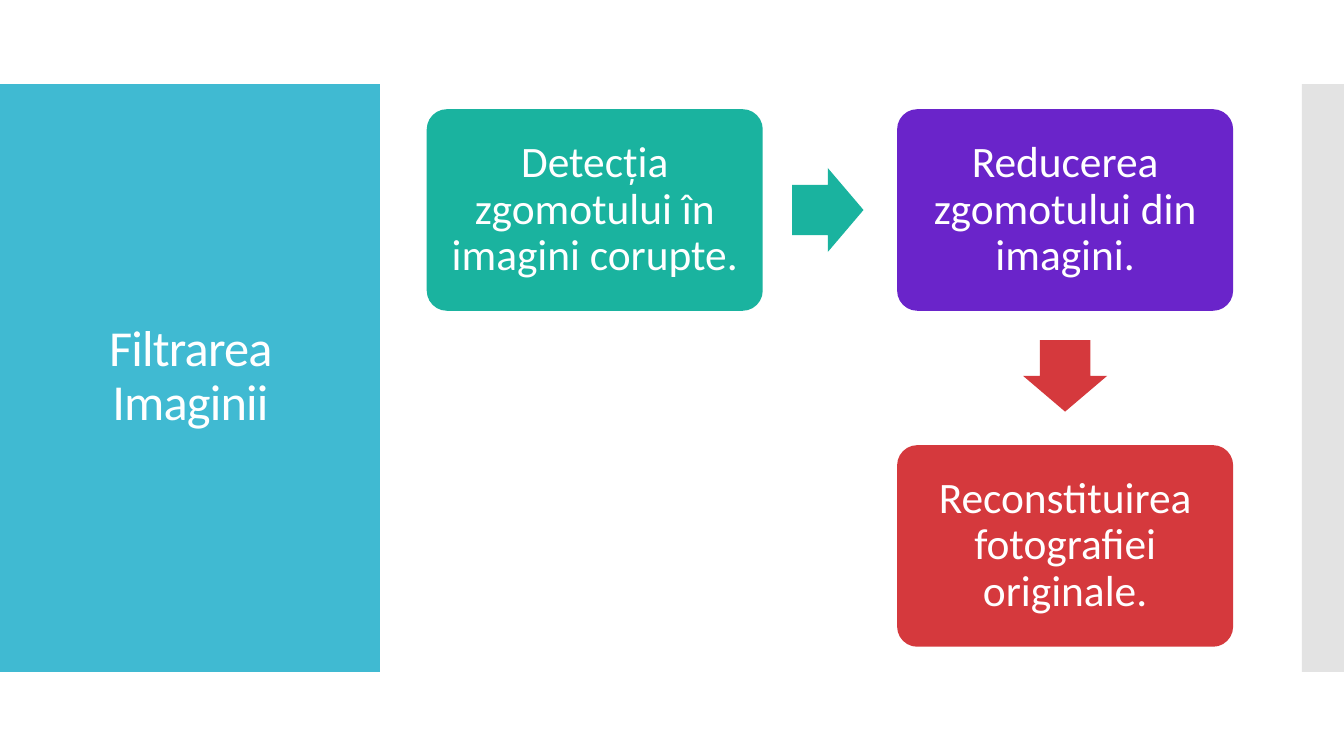
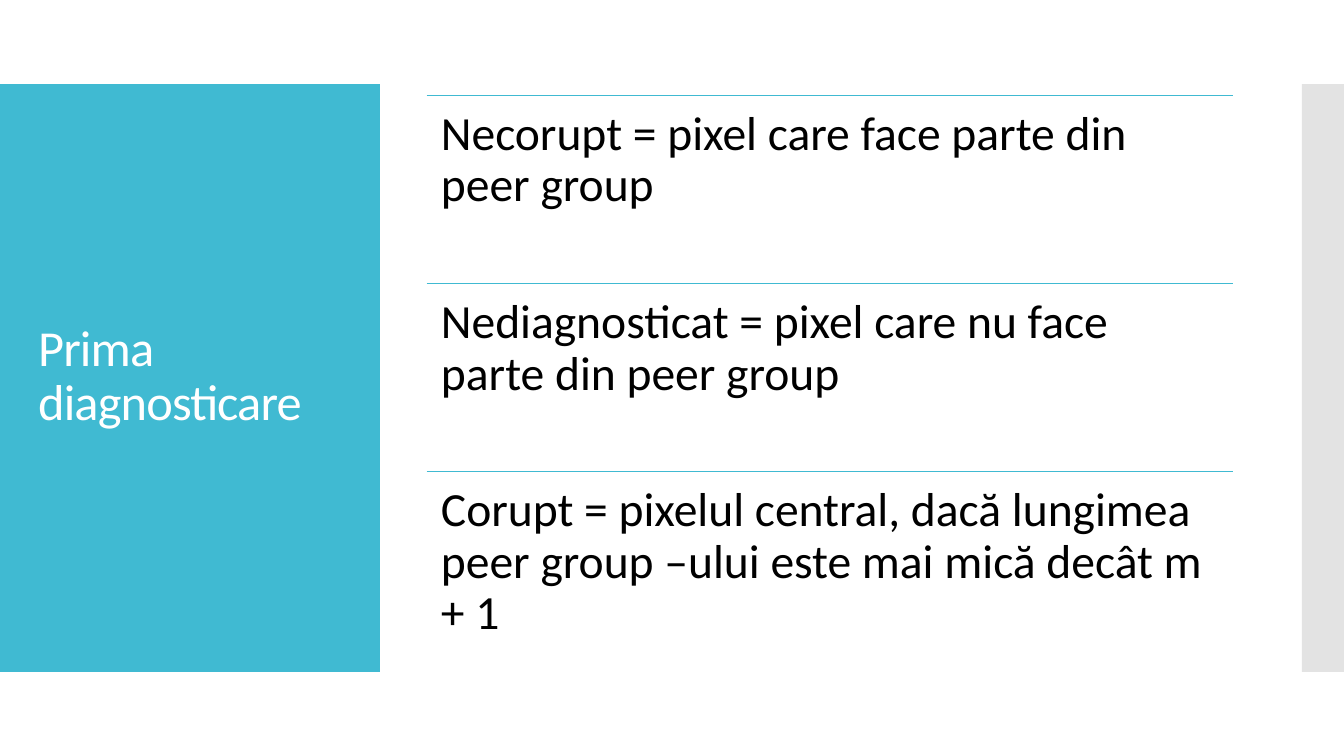
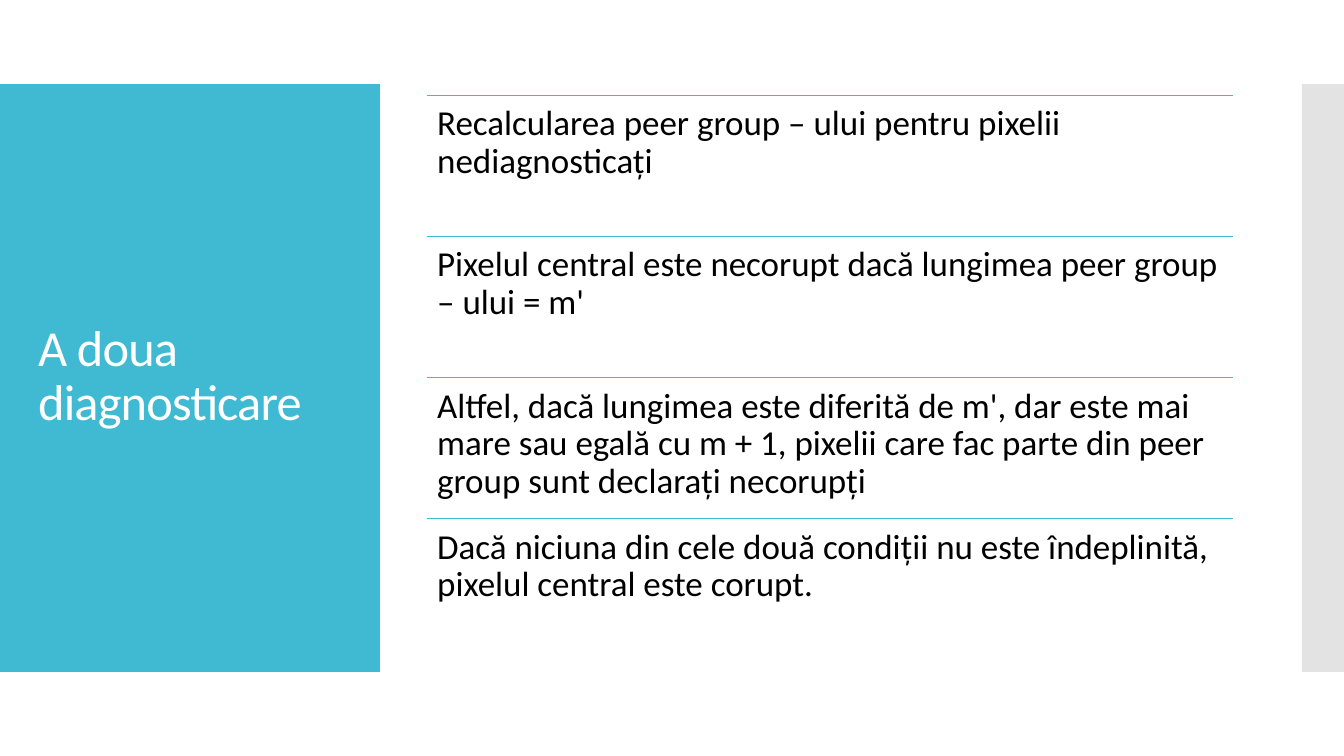
from dataclasses import dataclass

from lxml.etree import SubElement
from pptx import Presentation
from pptx.dml.color import RGBColor
from pptx.enum.shapes import MSO_CONNECTOR, MSO_SHAPE
from pptx.enum.text import MSO_ANCHOR, MSO_AUTO_SIZE, PP_ALIGN
from pptx.oxml.ns import qn
from pptx.presentation import Presentation as Deck
from pptx.shapes.autoshape import Shape
from pptx.slide import Slide
from pptx.text.text import TextFrame
from pptx.util import Pt


@dataclass(frozen=True)
class Theme:
    font: str = "Calibri"
    accent: str = "40BAD2"
    side: str = "C8C8C8"
    light: str = "FFFFFF"
    dark: str = "000000"
    teal: str = "1AB39F"
    purple: str = "6A24CA"
    red: str = "D5393D"
    title_size: float = 36
    step_size: float = 31
    rule_width: float = 0.85
    line_spacing: float = 0.9


@dataclass(frozen=True)
class Box:
    left: float
    top: float
    width: float
    height: float

    def lengths(self) -> tuple[Pt, Pt, Pt, Pt]:
        return Pt(self.left), Pt(self.top), Pt(self.width), Pt(self.height)


@dataclass(frozen=True)
class Step:
    text: str
    column: int
    row: int
    color: str


@dataclass(frozen=True)
class Arrow:
    kind: MSO_SHAPE
    box: Box
    color: str


@dataclass(frozen=True)
class Definitions:
    title: str
    size: float
    rows: tuple[str, ...]


THEME = Theme()

# Shared frame
TITLE_BAND = Box(0, 60, 271.4, 420)
SIDE_BAND = Box(930, 60, 30, 420)
TITLE_BOX = Box(20, 88.5, 232, 362)
BODY = Box(304.8, 68, 576, 403)

# Process grid
STEP_WIDTH, STEP_HEIGHT, STEP_GAP, STEP_TOP = 240, 144, 96, 78
STEP_INSET = 13.5
ARROW_LENGTH, ARROW_BREADTH, ARROW_OFFSET = 51, 60, 21

STEPS = (
    Step("Detecția zgomotului în imagini corupte.", 0, 0, THEME.teal),
    Step("Reducerea zgomotului din imagini.", 1, 0, THEME.purple),
    Step("Reconstituirea fotografiei originale.", 1, 1, THEME.red),
)

DEFINITION_SLIDES = (
    Definitions("Prima diagnosticare", 34, (
        "Necorupt = pixel care face parte din peer group",
        "Nediagnosticat = pixel care nu face parte din peer group",
        "Corupt = pixelul central, dacă lungimea peer group –ului este mai mică decât m + 1",
    )),
    Definitions("A doua diagnosticare", 25, (
        "Recalcularea peer group – ului pentru pixelii nediagnosticați",
        "Pixelul central este necorupt dacă lungimea peer group – ului = m'",
        "Altfel, dacă lungimea este diferită de m', dar este mai mare sau egală cu m + 1, "
        "pixelii care fac parte din peer group sunt declarați necorupți",
        "Dacă niciuna din cele două condiții nu este îndeplinită, pixelul central este corupt.",
    )),
)


def write_text(frame: TextFrame, text: str, size: float, color: str,
               align: PP_ALIGN, anchor: MSO_ANCHOR) -> None:
    frame.text = text
    frame.word_wrap = True
    frame.auto_size = MSO_AUTO_SIZE.NONE
    frame.vertical_anchor = anchor
    paragraph = frame.paragraphs[0]
    paragraph.alignment = align
    paragraph.line_spacing = THEME.line_spacing
    paragraph.font.name = THEME.font
    paragraph.font.size = Pt(size)
    paragraph.font.color.rgb = RGBColor.from_string(color)


def set_insets(frame: TextFrame, inset: float) -> None:
    frame.margin_left = frame.margin_right = Pt(inset)
    frame.margin_top = frame.margin_bottom = Pt(inset)


def add_filled(slide: Slide, kind: MSO_SHAPE, box: Box, color: str) -> Shape:
    shape = slide.shapes.add_shape(kind, *box.lengths())
    shape.shadow.inherit = False
    shape.fill.solid()
    shape.fill.fore_color.rgb = RGBColor.from_string(color)
    shape.line.fill.background()
    return shape


def add_titled_slide(presentation: Deck, text: str, align: PP_ALIGN) -> Slide:
    slide = presentation.slides.add_slide(presentation.slide_layouts[5])
    add_filled(slide, MSO_SHAPE.RECTANGLE, TITLE_BAND, THEME.accent)
    side = add_filled(slide, MSO_SHAPE.RECTANGLE, SIDE_BAND, THEME.side)
    side_color = side.fill._xPr.find(qn("a:solidFill")).find(qn("a:srgbClr"))
    SubElement(side_color, qn("a:alpha")).set("val", "50000")

    title = slide.shapes.title
    title.left, title.top, title.width, title.height = TITLE_BOX.lengths()
    write_text(title.text_frame, text, THEME.title_size, THEME.light, align, MSO_ANCHOR.MIDDLE)
    title.text_frame.paragraphs[0].runs[0]._r.get_or_add_rPr().set("spc", "-60")
    slide.shapes._spTree.append(title._element)  # bring in front of the bands
    return slide


def step_box(step: Step) -> Box:
    return Box(BODY.left + step.column * (STEP_WIDTH + STEP_GAP),
               STEP_TOP + step.row * (STEP_HEIGHT + STEP_GAP),
               STEP_WIDTH, STEP_HEIGHT)


def arrow_between(start: Step, end: Step) -> Arrow:
    box = step_box(start)
    if start.row == end.row:
        return Arrow(MSO_SHAPE.RIGHT_ARROW,
                     Box(box.left + box.width + ARROW_OFFSET,
                         box.top + (box.height - ARROW_BREADTH) / 2,
                         ARROW_LENGTH, ARROW_BREADTH), start.color)
    return Arrow(MSO_SHAPE.DOWN_ARROW,
                 Box(box.left + (box.width - ARROW_BREADTH) / 2,
                     box.top + box.height + ARROW_OFFSET,
                     ARROW_BREADTH, ARROW_LENGTH), end.color)


def add_process_slide(presentation: Deck) -> None:
    slide = add_titled_slide(presentation, "Filtrarea Imaginii", PP_ALIGN.CENTER)
    for step in STEPS:
        shape = add_filled(slide, MSO_SHAPE.ROUNDED_RECTANGLE, step_box(step), step.color)
        shape.adjustments[0] = 0.1
        set_insets(shape.text_frame, STEP_INSET)
        write_text(shape.text_frame, step.text, THEME.step_size, THEME.light,
                   PP_ALIGN.CENTER, MSO_ANCHOR.MIDDLE)
    for start, end in zip(STEPS, STEPS[1:]):
        arrow = arrow_between(start, end)
        shape = add_filled(slide, arrow.kind, arrow.box, arrow.color)
        shape.adjustments[0] = 0.6
        shape.adjustments[1] = 0.5


def add_rule(slide: Slide, top: float) -> None:
    rule = slide.shapes.add_connector(MSO_CONNECTOR.STRAIGHT, Pt(BODY.left), Pt(top),
                                      Pt(BODY.left + BODY.width), Pt(top))
    rule.line.color.rgb = RGBColor.from_string(THEME.accent)
    rule.line.width = Pt(THEME.rule_width)
    SubElement(rule._element.spPr, qn("a:effectLst"))


def add_definition_slide(presentation: Deck, content: Definitions) -> None:
    slide = add_titled_slide(presentation, content.title, PP_ALIGN.LEFT)
    row_height = BODY.height / len(content.rows)
    for index, text in enumerate(content.rows):
        row = Box(BODY.left, BODY.top + index * row_height, BODY.width, row_height)
        add_rule(slide, row.top)
        frame = slide.shapes.add_textbox(*row.lengths()).text_frame
        set_insets(frame, 0.3 * content.size)
        write_text(frame, text, content.size, THEME.dark, PP_ALIGN.LEFT, MSO_ANCHOR.TOP)


def main() -> None:
    presentation = Presentation()
    presentation.slide_width, presentation.slide_height = Pt(960), Pt(540)
    add_process_slide(presentation)
    for content in DEFINITION_SLIDES:
        add_definition_slide(presentation, content)
    presentation.save("out.pptx")


if __name__ == "__main__":
    main()
